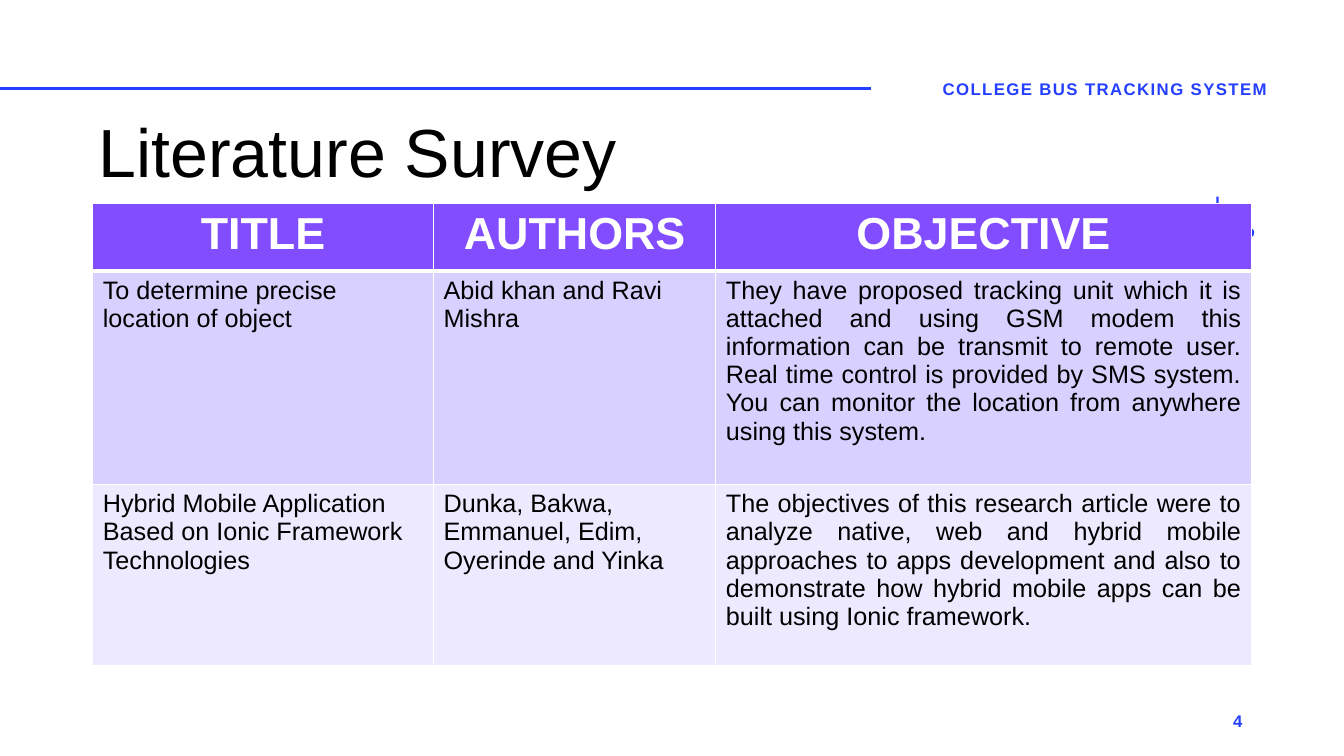
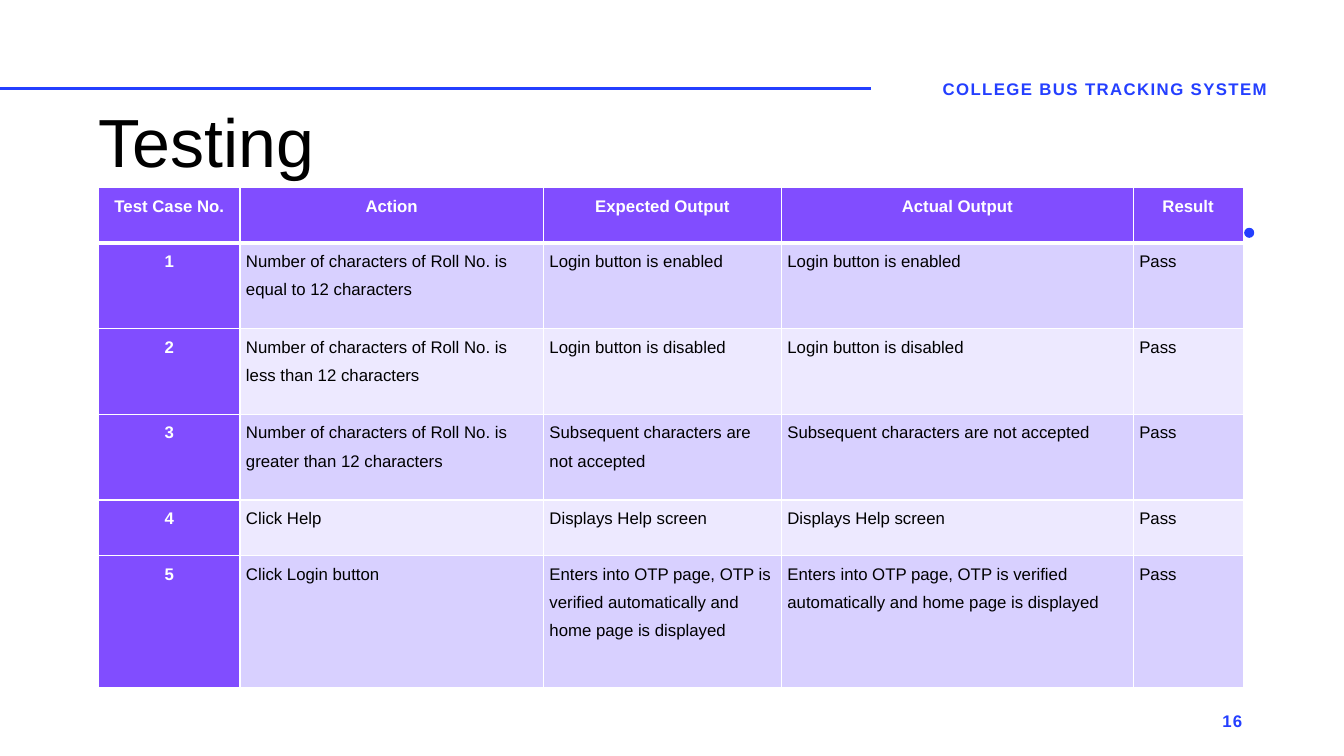
from pptx import Presentation
from pptx.dml.color import RGBColor
from pptx.enum.shapes import MSO_CONNECTOR, MSO_SHAPE as SHAPE
from pptx.enum.text import MSO_ANCHOR as ANCHOR, PP_ALIGN as ALIGN
from pptx.oxml import parse_xml
from pptx.oxml.ns import nsdecls
from pptx.oxml.xmlchemy import OxmlElement
from pptx.util import Inches, Pt

BLUE = RGBColor(0x24, 0x3F, 0xFF)
PURPLE = RGBColor(0x81, 0x4D, 0xFF)
LILAC = RGBColor(0xD8, 0xD0, 0xFF)
PALE = RGBColor(0xED, 0xE9, 0xFF)
BLACK = RGBColor(0, 0, 0)
WHITE = RGBColor(0xFF, 0xFF, 0xFF)
FONT = "Arial"


def write(tf, text, size=12, color=BLACK, bold=False, align=ALIGN.LEFT,
          line_spacing=None, tracking=None):
    """Put one formatted paragraph into a text frame."""
    p = tf.paragraphs[0]
    p.alignment = align
    p.line_spacing = line_spacing
    r = p.add_run()
    r.text = text
    r.font.name = FONT
    r.font.size = Pt(size)
    r.font.bold = bold
    r.font.color.rgb = color
    if tracking:
        r._r.get_or_add_rPr().set("spc", str(tracking * 100))


def set_borders(cell, **widths):
    """Draw white cell borders; widths are points keyed by side, L R T B."""
    tc_pr = cell._tc.get_or_add_tcPr()
    for i, side in enumerate("LRTB"):
        tc_pr.insert(i, parse_xml(
            f'<a:ln{side} {nsdecls("a")} w="{Pt(widths.get(side, 1))}">'
            f'<a:solidFill><a:srgbClr val="{WHITE}"/></a:solidFill></a:ln{side}>'))


class Deck:
    def __init__(self):
        self.prs = Presentation()
        self.prs.slide_width = Inches(13.33)
        self.prs.slide_height = Inches(7.5)
        self.s = None

    def add_slide(self, title, title_height, number):
        self.s = self.prs.slides.add_slide(self.prs.slide_layouts[6])
        # Rule and ornaments
        self.rule(0, 0.88, 8.64)
        self.ornament(SHAPE.OVAL, 12.34, 2.26, 0.1)
        self.ornament(SHAPE.CROSS, 12, 1.95, 0.15, 0.43)
        # Title, running header and page number
        self.text(title, 0.88, 1.08, 6.77, title_height, ANCHOR.BOTTOM,
                  size=48.6, line_spacing=0.9)
        label = dict(color=BLUE, bold=True, tracking=1)
        self.text("COLLEGE BUS TRACKING SYSTEM", 8.71, 0.68, 4.5, 0.4,
                  align=ALIGN.CENTER, **label)
        self.text(number, 9.42, 6.95, 3, 0.4, align=ALIGN.RIGHT, **label)

    def rule(self, x, y, width):
        line = self.s.shapes.add_connector(
            MSO_CONNECTOR.STRAIGHT, Inches(x), Inches(y), Inches(x + width), Inches(y))
        line.line.color.rgb = BLUE
        line.line.width = Pt(2)
        line._element.spPr.append(OxmlElement("a:effectLst"))

    def ornament(self, kind, x, y, size, adjustment=None):
        sp = self.s.shapes.add_shape(
            kind, Inches(x), Inches(y), Inches(size), Inches(size))
        if adjustment is not None:
            sp.adjustments[0] = adjustment
        sp.shadow.inherit = False
        sp.fill.solid()
        sp.fill.fore_color.rgb = BLUE
        sp.line.fill.background()

    def text(self, text, x, y, width, height, anchor=ANCHOR.MIDDLE, **fmt):
        tf = self.s.shapes.add_textbox(
            Inches(x), Inches(y), Inches(width), Inches(height)).text_frame
        tf.word_wrap = True
        tf.vertical_anchor = anchor
        write(tf, text, **fmt)

    def table(self, x, y, cols, heights, rows, head_size=12, body_size=12,
              head_column=False, justified=None, margins=None, line_spacing=None):
        table = self.s.shapes.add_table(
            len(rows), len(cols), Inches(x), Inches(y),
            Inches(sum(cols)), Inches(sum(heights))).table
        for col, width in zip(table.columns, cols):
            col.width = Inches(width)
        for i, (row, height, values) in enumerate(zip(table.rows, heights, rows)):
            row.height = Inches(height)
            for j, (cell, value) in enumerate(zip(row.cells, values)):
                is_head = i == 0 or (head_column and j == 0)
                band = LILAC if i % 2 else PALE
                cell.fill.solid()
                cell.fill.fore_color.rgb = PURPLE if is_head else band
                set_borders(cell, T=3 if i == 1 else 1, B=3 if i == 0 else 1)
                if margins:
                    cell.margin_left = cell.margin_right = Inches(margins[0])
                    cell.margin_top = cell.margin_bottom = Inches(margins[1])
                body_align = ALIGN.JUSTIFY if j == justified else ALIGN.LEFT
                write(cell.text_frame, value,
                      size=head_size if is_head else body_size,
                      color=WHITE if is_head else BLACK, bold=is_head,
                      align=ALIGN.CENTER if is_head else body_align,
                      line_spacing=line_spacing)


def main():
    deck = Deck()

    # Literature survey
    deck.add_slide("Literature Survey", 0.88, "4")
    deck.table(0.92, 2.02, [3.38, 2.8, 5.31], [0.67, 2.12, 1.79], [
        ("TITLE", "AUTHORS", "OBJECTIVE"),
        ("To determine precise location of object",
         "Abid khan and Ravi Mishra",
         "They have proposed tracking unit which it is attached and using GSM modem "
         "this information can be transmit to remote user. Real time control is "
         "provided by SMS system. You can monitor the location from anywhere using "
         "this system."),
        ("Hybrid Mobile Application Based on Ionic Framework Technologies",
         "Dunka, Bakwa, Emmanuel, Edim, Oyerinde and Yinka",
         "The objectives of this research article were to analyze native, web and "
         "hybrid mobile approaches to apps development and also to demonstrate how "
         "hybrid mobile apps can be built using Ionic framework."),
    ], head_size=32, body_size=18, justified=2)

    # Test cases: action, expected output, actual output
    deck.add_slide("Testing", 0.78, "16")
    length = "Number of characters of Roll No. is "
    rejected = "Subsequent characters are not accepted"
    home = "Enters into OTP page, OTP is verified automatically and home page is displayed"
    cases = [
        (length + "equal to 12 characters", "Login button is enabled"),
        (length + "less than 12 characters", "Login button is disabled"),
        (length + "greater than 12 characters", rejected),
        ("Click Help", "Displays Help screen"),
        ("Click Login button", home),
    ]
    rows = [("Test Case No.", "Action", "Expected Output", "Actual Output", "Result")]
    rows += [(str(n), action, output, output, "Pass")
             for n, (action, output) in enumerate(cases, 1)]
    deck.table(0.98, 1.86, [1.4, 3.01, 2.36, 3.49, 1.09],
               [0.55, 0.85, 0.85, 0.85, 0.55, 1.31], rows,
               head_column=True, margins=(0.06, 0), line_spacing=1.5)

    deck.prs.save("out.pptx")


if __name__ == "__main__":
    main()
